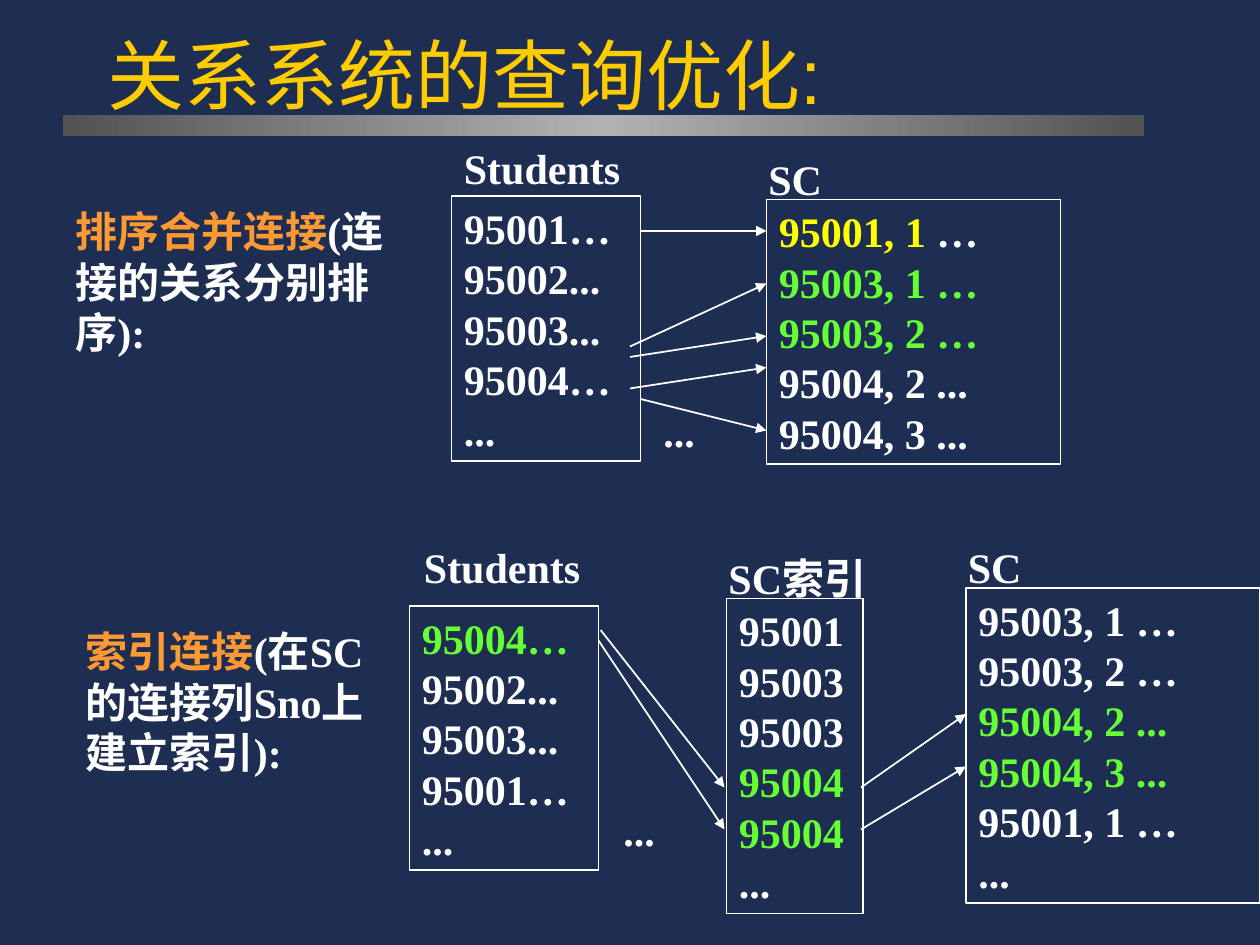
from copy import deepcopy

from lxml import etree
from pptx import Presentation
from pptx.dml.color import RGBColor
from pptx.enum.shapes import MSO_CONNECTOR, MSO_SHAPE
from pptx.enum.text import MSO_ANCHOR, MSO_AUTO_SIZE, PP_ALIGN
from pptx.oxml.ns import qn
from pptx.util import Inches, Pt

STRAIGHT, RECTANGLE = MSO_CONNECTOR.STRAIGHT, MSO_SHAPE.RECTANGLE
TOP, BOTTOM, LEFT = MSO_ANCHOR.TOP, MSO_ANCHOR.BOTTOM, PP_ALIGN.LEFT
GROW, FIXED = MSO_AUTO_SIZE.SHAPE_TO_FIT_TEXT, MSO_AUTO_SIZE.NONE

NAVY, WHITE, GOLD = "1E2E53", "FFFFFF", "FFCC00"
ORANGE, GREEN, YELLOW = "FF9933", "66FF33", "FFFF00"
DARK_GRAY, LIGHT_GRAY = "525252", "B2B2B2"

TITLE_FONT = {"name": "Arial", "size": Pt(44), "bold": False}
BODY_FONT = {"name": "Times New Roman", "size": Pt(24), "bold": True}
LINE_PITCH = Pt(28.8)


def color(hex_code):
    return RGBColor.from_string(hex_code)


def grid(*cells):
    """Turn columns and rows (twelve to the inch) into lengths."""
    return [Inches(cell / 12) for cell in cells]


def apply_format(target, values):
    for key, value in values.items():
        setattr(target, key, value)


class Board:
    """Holds the slide and the common style of its elements."""

    def __init__(self, slide):
        self.slide = slide
        self.shapes = slide.shapes
        background = slide.background.fill
        background.solid()
        background.fore_color.rgb = color(NAVY)

    def fill_text(self, frame, paragraphs, font, pitch=None, **frame_format):
        """Fill a frame; a paragraph is a string or a list of (text, colour)."""
        apply_format(frame, {"word_wrap": True, **frame_format})
        for index, content in enumerate(paragraphs):
            paragraph = frame.add_paragraph() if index else frame.paragraphs[0]
            paragraph.alignment = LEFT
            if pitch:
                paragraph.line_spacing = pitch
            runs = [(content, WHITE)] if isinstance(content, str) else content
            for text, hex_code in runs:
                run = paragraph.add_run()
                run.text = text
                apply_format(run.font, font)
                run.font.color.rgb = color(hex_code)

    def title(self, text, *place):
        heading = self.shapes.title
        apply_format(heading, dict(zip(("left", "top", "width", "height"), grid(*place))))
        self.fill_text(heading.text_frame, [[(text, GOLD)]], TITLE_FONT,
                       vertical_anchor=BOTTOM, auto_size=FIXED)

    def rectangle(self, *place):
        box = self.shapes.add_shape(RECTANGLE, *grid(*place))
        box.shadow.inherit = False
        return box

    def divider(self, *place):
        bar = self.rectangle(*place)
        bar.line.fill.background()
        bar.fill.gradient()
        bar.fill.gradient_angle = 0
        stop_list = bar._element.spPr.find(qn("a:gradFill")).find(qn("a:gsLst"))
        stop_list.insert(1, deepcopy(stop_list[0]))
        ramp = ((0, DARK_GRAY), (0.5, LIGHT_GRAY), (1, DARK_GRAY))
        for stop, (position, hex_code) in zip(bar.fill.gradient_stops, ramp):
            stop.position = position
            stop.color.rgb = color(hex_code)

    def label(self, paragraph, *place):
        note = self.shapes.add_textbox(*grid(*place))
        self.fill_text(note.text_frame, [paragraph], BODY_FONT, LINE_PITCH, auto_size=GROW)

    def relation(self, name, name_place, paragraphs, *place):
        """Draw a framed list of tuples with its name above."""
        box = self.rectangle(*place)
        box.fill.background()
        box.line.color.rgb = color(WHITE)
        box.line.width = Pt(1)
        self.fill_text(box.text_frame, paragraphs, BODY_FONT, LINE_PITCH,
                       vertical_anchor=TOP, auto_size=GROW)
        self.label(name, *name_place, 19, 6)

    def arrow(self, *ends):
        link = self.shapes.add_connector(STRAIGHT, *grid(*ends))
        link.line.color.rgb = color(WHITE)
        link.line.width = Pt(1)
        properties = link._element.spPr
        etree.SubElement(properties.find(qn("a:ln")), qn("a:tailEnd"), type="triangle")
        etree.SubElement(properties, qn("a:effectLst"))


def main():
    deck = Presentation()
    deck.slide_width, deck.slide_height = grid(120, 90)
    board = Board(deck.slides.add_slide(deck.slide_layouts[5]))

    board.title("关系系统的查询优化:", 9, 1, 102, 11)
    board.divider(6, 11, 103, 2)

    # Sort-merge join
    board.label([("排序合并连接", ORANGE), ("(连接的关系分别排序):", WHITE)], 6, 19, 32, 15.6)
    board.relation("Students", (43, 13),
                   ["95001…", "95002... 95003... 95004…", "..."],
                   43, 18.7, 18, 25.2)
    board.relation("SC", (72, 14),
                   [[("95001, 1", YELLOW), (" …", WHITE)],
                    [("95003, 1 …", GREEN)],
                    [("95003, 2 …", GREEN)],
                    "95004, 2 ... 95004, 3 ..."],
                   73, 19, 28, 25.2)
    board.label("...", 62, 38, 6, 6)

    # Index join
    board.label([("索引连接", ORANGE), ("(在SC的连接列Sno上建立索引):", WHITE)], 7, 59, 30, 20.4)
    board.relation("Students", (39.2, 51),
                   [[("95004…", GREEN)], "95002... 95003... 95001…", "..."],
                   39, 57.7, 18, 25.2)
    board.relation("SC索引", (68.2, 52),
                   ["95001 95003",
                    [("95003 ", WHITE), ("95004 95004", GREEN)],
                    "..."],
                   69.2, 57, 13, 30)
    board.relation("SC", (91, 51),
                   ["95003, 1 …", "95003, 2 …",
                    [("95004, 2 ... 95004, 3 ...", GREEN), (" 95001, 1 …", WHITE)],
                    "..."],
                   92, 56, 28, 30)
    board.label("...", 58.2, 76, 6, 6)

    matches = (
        (61, 22, 73, 22), (60, 33, 73, 27), (60, 34, 73, 32),
        (60, 37, 73, 35), (61, 38, 73, 41),
        (57.2, 60, 69, 75), (57, 61, 69, 79),
        (82, 75, 92, 68), (82, 79, 92, 73),
    )
    for match in matches:
        board.arrow(*match)

    deck.save("out.pptx")


if __name__ == "__main__":
    main()
